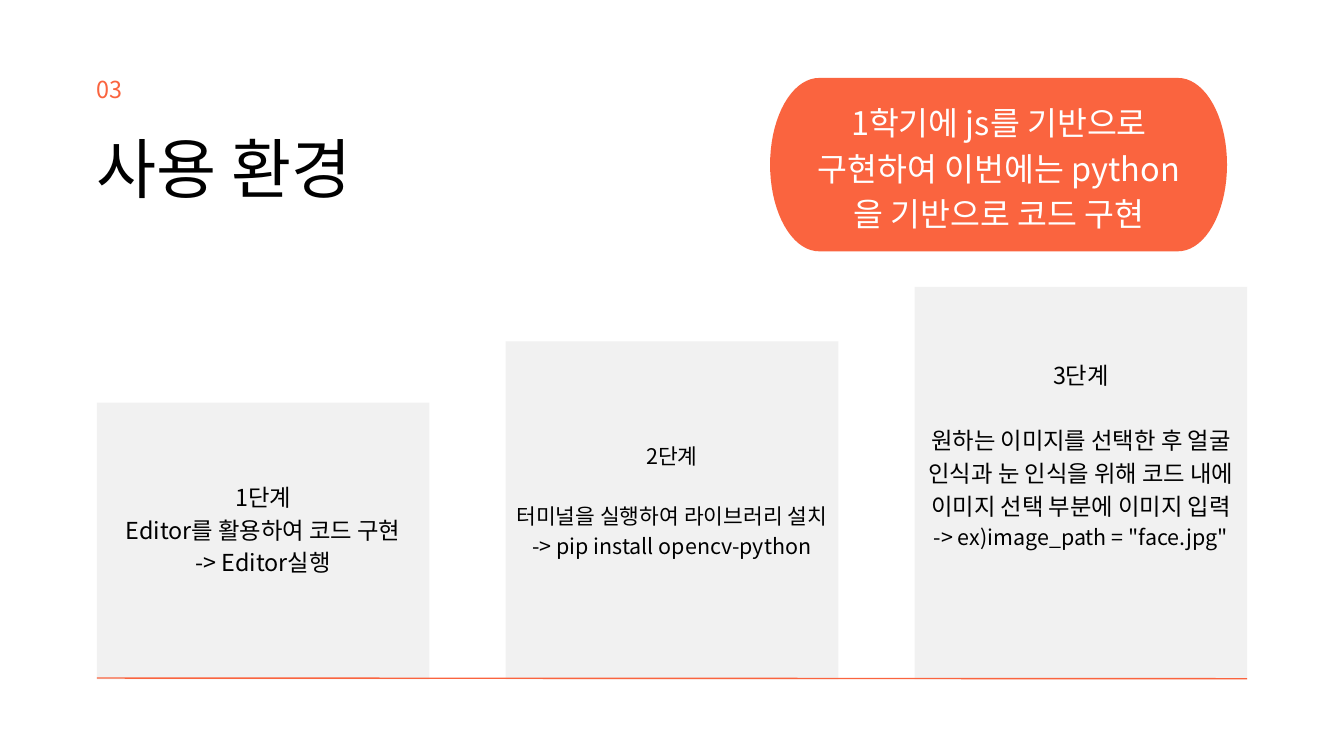
from math import cos, radians, sin

from lxml import etree
from pptx import Presentation
from pptx.dml.color import RGBColor
from pptx.enum.shapes import MSO_CONNECTOR, MSO_SHAPE
from pptx.enum.text import MSO_ANCHOR, PP_ALIGN
from pptx.oxml.ns import qn
from pptx.util import Inches, Pt

ORANGE = RGBColor(0xFA, 0x64, 0x3F)
GREY = RGBColor(0xF1, 0xF1, 0xF1)
BLACK = RGBColor(0, 0, 0)
WHITE = RGBColor(0xFF, 0xFF, 0xFF)
NOTO = "Noto Sans CJK KR"
CALIBRI = "Calibri"

prs = Presentation()
prs.slide_width, prs.slide_height = Inches(20), Inches(11.25)
slide = prs.slides.add_slide(prs.slide_layouts[6])


def add_text(left, top, width, height, lines, color=BLACK, align=PP_ALIGN.LEFT,
             inset=0, anchor=MSO_ANCHOR.TOP):
    """Add a text box; each line is (text, size, font, line spacing, space before)."""
    frame = slide.shapes.add_textbox(
        Inches(left), Inches(top), Inches(width), Inches(height)).text_frame
    frame.word_wrap = True
    frame.vertical_anchor = anchor
    frame.margin_left = frame.margin_right = Inches(inset)
    frame.margin_top = frame.margin_bottom = Inches(inset)
    for index, (text, size, font, spacing, before) in enumerate(lines):
        paragraph = frame.add_paragraph() if index else frame.paragraphs[0]
        paragraph.alignment = align
        paragraph.line_spacing = Pt(spacing)
        if before:
            paragraph.space_before = Pt(before)
        run = paragraph.add_run()
        run.text = text
        run.font.size = Pt(size)
        run.font.color.rgb = color
        run.font.name = font
        east_asian = etree.SubElement(run.font._element, qn("a:ea"))
        east_asian.set("typeface", NOTO)
    return frame


def paint(shape, color):
    shape.shadow.inherit = False
    shape.fill.solid()
    shape.fill.fore_color.rgb = color
    shape.line.fill.background()


# Steps rising from left to right on a common baseline
MARGIN, STEP_WIDTH, STEP_PITCH, BASELINE = 1.44, 4.95, 6.085, 10.11
steps = [
    (5.99, 5.59, 0, [
        ("1단계", 25, NOTO, 35, 0),
        ("Editor를 활용하여 코드 구현", 25, NOTO, 35, 0),
        ("-> Editor실행", 25, NOTO, 35, 0),
    ]),
    (5.08, 4.74, 0, [
        ("2단계", 23, NOTO, 32.2, 0),
        ("터미널을 실행하여 라이브러리 설치", 23, CALIBRI, 32.2, 32.2),
        ("-> pip install opencv-python", 23, NOTO, 32.2, 0),
    ]),
    (4.27, 3.86, 35, [
        ("3단계", 25, NOTO, 35, 0),
        ("원하는 이미지를 선택한 후 얼굴 인식과 눈 인식을 위해 코드 내에 "
         "이미지 선택 부분에 이미지 입력", 25, CALIBRI, 35, 35),
        ('-> ex)image_path = "face.jpg"', 23, NOTO, 32.2, 0),
    ]),
]
for number, (step_top, text_top, space_below, lines) in enumerate(steps):
    left = MARGIN + number * STEP_PITCH
    step = slide.shapes.add_shape(
        MSO_SHAPE.RECTANGLE, Inches(left), Inches(step_top),
        Inches(STEP_WIDTH), Inches(BASELINE - step_top))
    paint(step, GREY)
    step_text = add_text(left, text_top, STEP_WIDTH, BASELINE - text_top, lines,
                         align=PP_ALIGN.CENTER, inset=0.06, anchor=MSO_ANCHOR.MIDDLE)
    step_text.margin_bottom += Pt(space_below)

# Heading
add_text(MARGIN, 1.91, 8.85, 1.16, [("사용 환경", 70, CALIBRI, 84, 0)])
add_text(MARGIN, 1.15, 0.87, 0.4, [("03", 25, NOTO, 27.5, 0)], color=ORANGE)

# Ground line
ground = slide.shapes.add_connector(
    MSO_CONNECTOR.STRAIGHT, Inches(MARGIN), Inches(10.09), Inches(18.56), Inches(10.1))
ground.line.color.rgb = ORANGE
ground.line.width = Pt(1.5)
etree.SubElement(ground._element.spPr, qn("a:effectLst"))

# Callout with half-elliptical ends
CENTER_Y, RADIUS_X, RADIUS_Y = 2.45, 0.73, 1.29
outline = []
for center_x, start in ((17.53, -90), (12.19, 90)):
    for degree in range(start, start + 181, 5):
        angle = radians(degree)
        outline.append((Inches(center_x + RADIUS_X * cos(angle)),
                        Inches(CENTER_Y + RADIUS_Y * sin(angle))))
builder = slide.shapes.build_freeform(*outline[0])
builder.add_line_segments(outline[1:], close=True)
paint(builder.convert_to_shape(), ORANGE)
add_text(12.08, 1.44, 5.57, 1.96,
         [("1학기에 js를 기반으로 구현하여 이번에는 python을 기반으로 코드 구현",
           34.8, NOTO, 48.7, 0)],
         color=WHITE, align=PP_ALIGN.CENTER)

prs.save("out.pptx")
